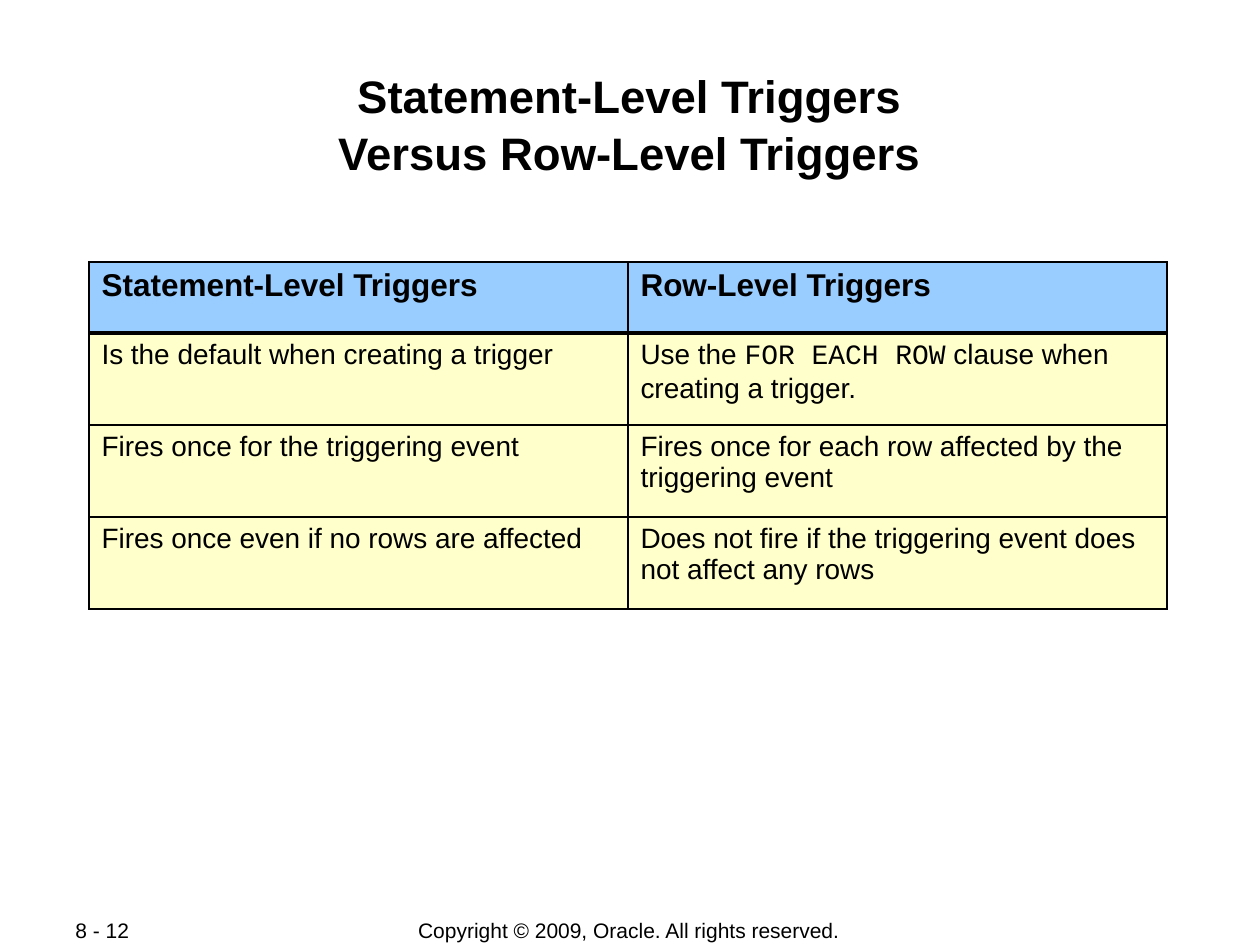
from typing import NamedTuple

from lxml.etree import SubElement as Sub
from pptx import Presentation
from pptx.dml.color import RGBColor
from pptx.enum.text import MSO_ANCHOR as Anchor, PP_ALIGN as Align
from pptx.oxml.ns import qn
from pptx.util import Emu, Inches, Pt

BLACK = RGBColor(0x00, 0x00, 0x00)
BLUE = RGBColor(0x99, 0xCC, 0xFF)
CREAM = RGBColor(0xFF, 0xFF, 0xCC)
SANS, MONO = "Arial", "Courier New"
THIN, THICK = Pt(1.08), Pt(2.21)


def px(n: int) -> Emu:
    return Emu(n * Inches(1) // 126)


class Box(NamedTuple):
    left: int
    top: int
    width: int
    height: int


class Run(NamedTuple):
    text: str
    face: str = SANS


class Note(NamedTuple):
    box: Box
    text: str
    align: Align


TITLE = ("Statement-Level Triggers", "Versus Row-Level Triggers")
TITLE_BOX = Box(84, 60, 1091, 121)
GRID = Box(89, 262, 1078, 347)
HEIGHTS = (71, 92, 92, 92)
ROWS = (
    ((Run("Statement-Level Triggers"),), (Run("Row-Level Triggers"),)),
    (
        (Run("Is the default when creating a trigger"),),
        (
            Run("Use the "),
            Run("FOR EACH ROW", MONO),
            Run(" clause when creating a trigger."),
        ),
    ),
    (
        (Run("Fires once for the triggering event"),),
        (Run("Fires once for each row affected by the triggering event"),),
    ),
    (
        (Run("Fires once even if no rows are affected"),),
        (Run("Does not fire if the triggering event does not affect any rows"),),
    ),
)
NOTES = (
    Note(
        Box(346, 917, 566, 26),
        "Copyright © 2009, Oracle. All rights reserved.",
        Align.CENTER,
    ),
    Note(Box(63, 917, 134, 26), "8 - 12", Align.LEFT),
)


def add_run(para, run: Run, size: int, bold: bool = False) -> None:
    part = para.add_run()
    part.text = run.text
    font = part.font
    font.name, font.size, font.bold = run.face, Pt(size), bold
    font.color.rgb = BLACK


def add_title(slide) -> None:
    title = slide.shapes.title
    title.left, title.top, title.width, title.height = map(px, TITLE_BOX)
    frame = title.text_frame
    frame.vertical_anchor = Anchor.TOP
    frame.margin_left = frame.margin_right = frame.margin_bottom = px(1)
    frame.margin_top = px(5)
    para = frame.paragraphs[0]
    para.alignment = Align.CENTER
    para.line_spacing = 1.05
    for i, line in enumerate(TITLE):
        if i:
            para.add_line_break()
        add_run(para, Run(line), 26, True)


def add_note(slide, note: Note) -> None:
    frame = slide.shapes.add_textbox(*map(px, note.box)).text_frame
    frame.word_wrap = True
    frame.vertical_anchor = Anchor.MIDDLE
    para = frame.paragraphs[0]
    para.alignment = note.align
    add_run(para, Run(note.text), 12)


def set_edges(cell, top: Emu, base: Emu) -> None:
    """Draw the four borders; call before the fill, which must follow them."""
    props = cell._tc.get_or_add_tcPr()
    for side, width in (("L", THIN), ("R", THIN), ("T", top), ("B", base)):
        line = Sub(props, qn(f"a:ln{side}"), w=str(width))
        fill = Sub(line, qn("a:solidFill"))
        Sub(fill, qn("a:srgbClr"), val=str(BLACK))


def add_grid(slide) -> None:
    table = slide.shapes.add_table(len(ROWS), 2, *map(px, GRID)).table
    table.first_row = table.horz_banding = False
    for col in table.columns:
        col.width = px(GRID.width // 2)
    for r, (row, height) in enumerate(zip(ROWS, HEIGHTS)):
        table.rows[r].height = px(height)
        head = r == 0
        for c, runs in enumerate(row):
            cell = table.cell(r, c)
            set_edges(cell, THICK if r == 1 else THIN, THICK if head else THIN)
            cell.fill.solid()
            cell.fill.fore_color.rgb = BLUE if head else CREAM
            para = cell.text_frame.paragraphs[0]
            for run in runs:
                add_run(para, run, 18 if head else 16, head)


def main() -> None:
    deck = Presentation()
    deck.slide_width, deck.slide_height = Inches(10), Inches(7.5)
    slide = deck.slides.add_slide(deck.slide_layouts[5])
    for note in NOTES:
        add_note(slide, note)
    add_title(slide)
    add_grid(slide)
    deck.save("out.pptx")


if __name__ == "__main__":
    main()
